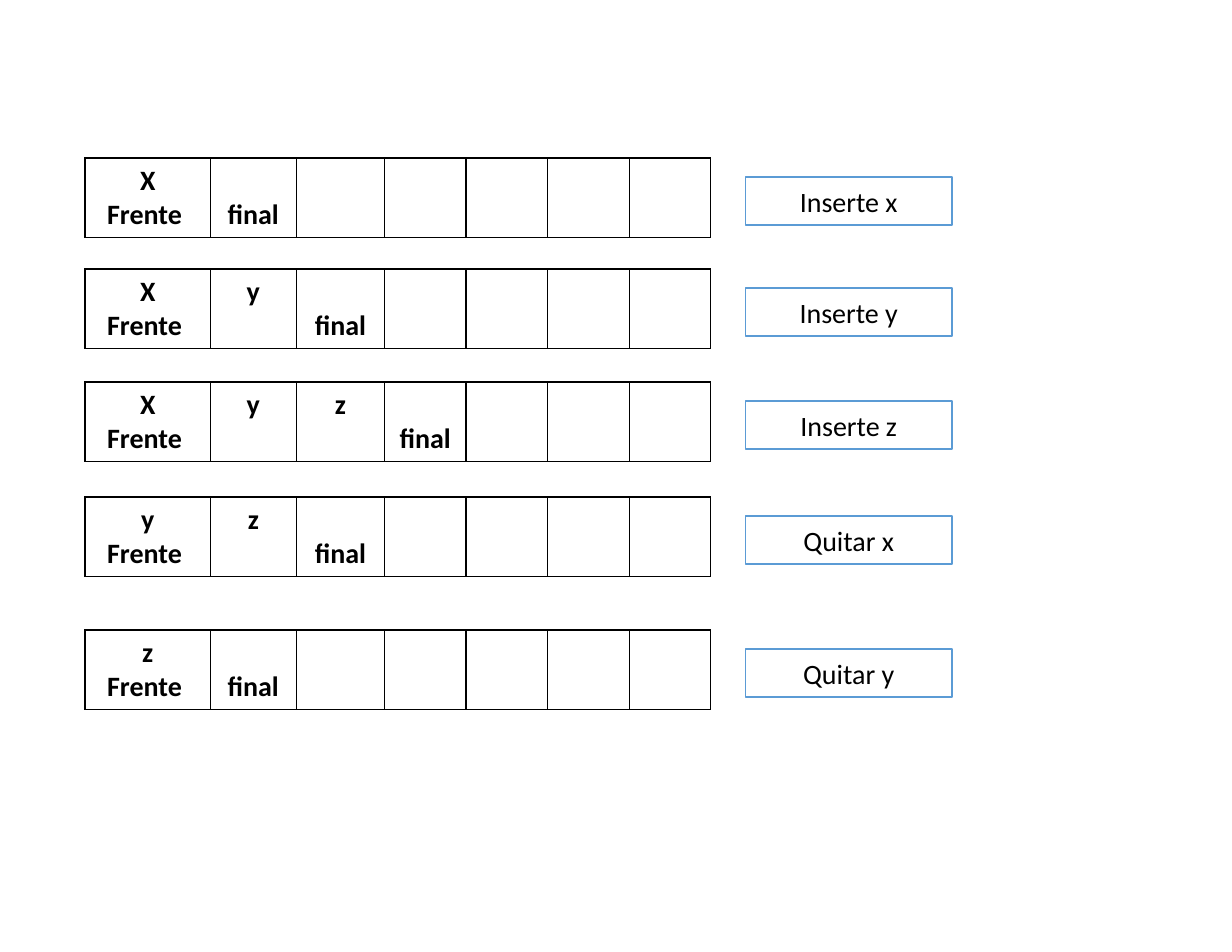
from dataclasses import dataclass

from lxml import etree
from pptx import Presentation
from pptx import util as u
from pptx.dml import color as col
from pptx.enum import shapes, text
from pptx.oxml import ns


@dataclass(frozen=True)
class Theme:
    """Colours, font and sizes of the slide."""
    ink: str = "000000"
    paper: str = "FFFFFF"
    edge: str = "5B9BD5"
    face: str = "Calibri"
    size: int = 18
    line: int = 1


LOOK = Theme()
LEFT, HIGH = 1.93, 1.8
COLS = [2.84, 1.95, 2.0] + [1.85] * 4
STEPS = [
    (3.58, "X", "Inserte x"),
    (6.1, "Xy", "Inserte y"),
    (8.66, "Xyz", "Inserte z"),
    (11.27, "yz", "Quitar x"),
    (14.29, "z", "Quitar y"),
]


def put(item, form):
    """Set each attribute named in the format dict."""
    for name, value in form.items():
        setattr(item, name, value)


def write(frame, lines, bold=False):
    """Fill a text frame with centred lines."""
    for num, line in enumerate(lines):
        para = frame.add_paragraph() if num else frame.paragraphs[0]
        para.alignment = text.PP_ALIGN.CENTER
        run = para.add_run()
        run.text = line
        put(run.font, {"name": LOOK.face, "size": u.Pt(LOOK.size), "bold": bold})
        run.font.color.rgb = col.RGBColor.from_string(LOOK.ink)


def rule(cell):
    """Draw a border on all four sides of a cell."""
    props = cell._tc.get_or_add_tcPr()
    for side in ("lnL", "lnR", "lnT", "lnB"):
        line = etree.SubElement(props, ns.qn(f"a:{side}"), w=str(u.Pt(LOOK.line)))
        fill = etree.SubElement(line, ns.qn("a:solidFill"))
        etree.SubElement(fill, ns.qn("a:srgbClr"), val=LOOK.ink)


def queue(slide, top, items):
    """Add a queue table with its front and end marked."""
    table = slide.shapes.add_table(
        1, len(COLS), u.Cm(LEFT), u.Cm(top), u.Cm(sum(COLS)), u.Cm(HIGH)
    ).table
    put(table, {"first_row": False, "horz_banding": False})
    for num, (wide, cell) in enumerate(zip(COLS, table.rows[0].cells)):
        table.columns[num].width = u.Cm(wide)
        rule(cell)
        cell.fill.background()
        if num < len(items):
            write(cell.text_frame, [items[num]] + ["Frente "] * (num == 0), True)
        elif num == len(items):
            cell.vertical_anchor = text.MSO_ANCHOR.BOTTOM
            write(cell.text_frame, ["final"], True)


def label(slide, top, words):
    """Add the box that names the operation."""
    box = slide.shapes.add_shape(
        shapes.MSO_SHAPE.RECTANGLE, u.Cm(16.91), u.Cm(top), u.Cm(4.68), u.Cm(1.09)
    )
    box.shadow.inherit = False
    box.fill.solid()
    box.fill.fore_color.rgb = col.RGBColor.from_string(LOOK.paper)
    box.line.color.rgb = col.RGBColor.from_string(LOOK.edge)
    box.line.width = u.Pt(LOOK.line)
    put(box.text_frame, {"word_wrap": True, "vertical_anchor": text.MSO_ANCHOR.MIDDLE})
    write(box.text_frame, [words])


def main():
    """Build the slide of queue steps and save it."""
    deck = Presentation()
    put(deck, {"slide_width": u.Cm(27.94), "slide_height": u.Cm(21.59)})
    slide = deck.slides.add_slide(deck.slide_layouts[6])
    for top, items, words in STEPS:
        queue(slide, top, items)
        label(slide, top + 0.43, words)
    deck.save("out.pptx")


if __name__ == "__main__":
    main()
